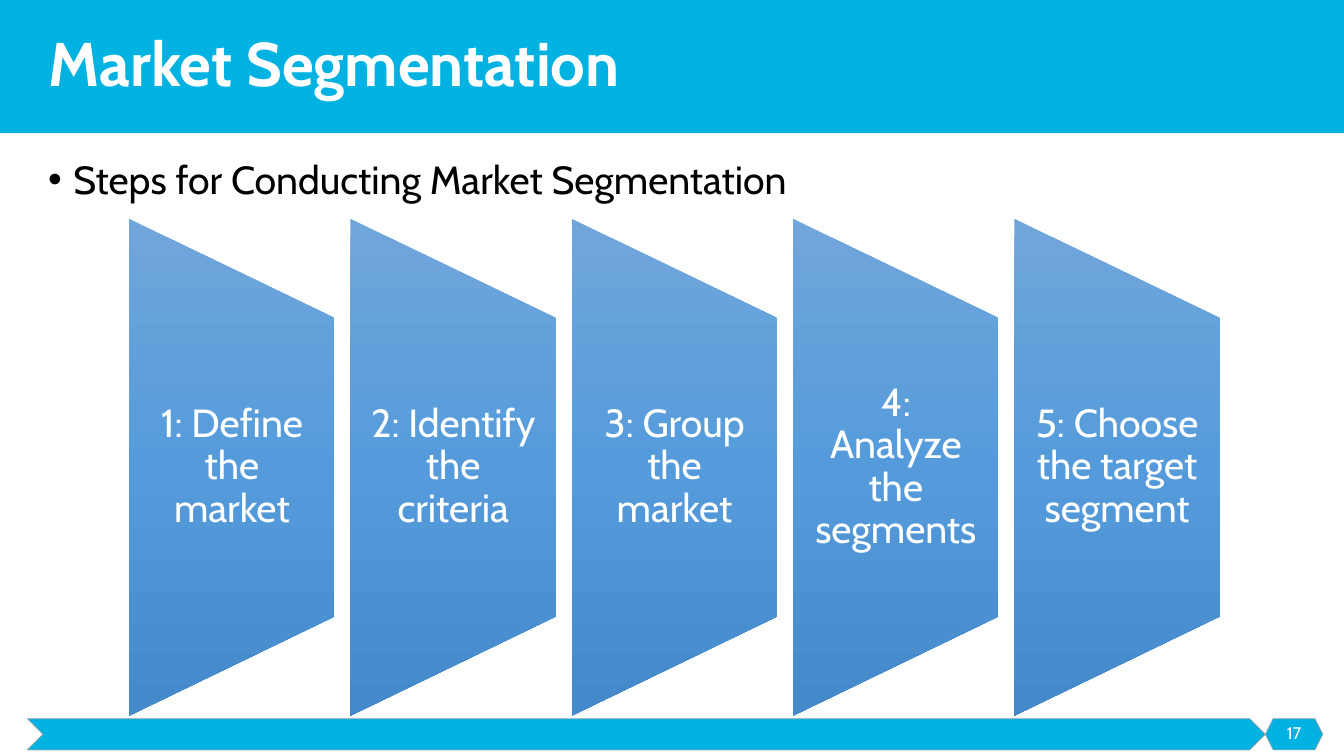
from lxml import etree
from pptx import Presentation
from pptx.dml.color import RGBColor
from pptx.enum.shapes import MSO_SHAPE
from pptx.enum.text import MSO_ANCHOR, MSO_AUTO_SIZE, PP_ALIGN
from pptx.oxml import parse_xml
from pptx.oxml.ns import nsdecls, qn
from pptx.util import Inches, Pt

FONT = "Cabin"
CYAN = RGBColor(0x00, 0xB2, 0xE2)
GRAY = RGBColor(0xA5, 0xA5, 0xA5)
WHITE = RGBColor(0xFF, 0xFF, 0xFF)
BLACK = RGBColor(0x00, 0x00, 0x00)
SHADES = (
    (0, RGBColor(0x71, 0xA6, 0xDB)),
    (50, RGBColor(0x55, 0x9B, 0xDB)),
    (100, RGBColor(0x44, 0x8A, 0xCA)),
)
RECT, CHEVRON, HEXAGON = MSO_SHAPE.RECTANGLE, MSO_SHAPE.CHEVRON, MSO_SHAPE.HEXAGON
PANEL = MSO_SHAPE.FLOWCHART_MANUAL_OPERATION
LEFT, CENTER = PP_ALIGN.LEFT, PP_ALIGN.CENTER
TOP, MIDDLE = MSO_ANCHOR.TOP, MSO_ANCHOR.MIDDLE
NO_FIT = MSO_AUTO_SIZE.NONE

STEPS = (
    "1: Define the market",
    "2: Identify the criteria",
    "3: Group the market",
    "4: Analyze the segments",
    "5: Choose the target segment",
)


def write(shape, text, size=28, color=WHITE, bold=False, align=CENTER,
          anchor=MIDDLE, inset=(0.1, 0.05), bullet=False, wrap=True):
    frame = shape.text_frame
    frame.word_wrap = wrap
    frame.auto_size = NO_FIT
    frame.vertical_anchor = anchor
    frame.margin_left = frame.margin_right = Inches(inset[0])
    frame.margin_top = frame.margin_bottom = Inches(inset[1])
    para = frame.paragraphs[0]
    para.text = text
    para.alignment = align
    para.line_spacing = 0.9
    if bullet:
        props = para._p.get_or_add_pPr()
        props.set("marL", str(Inches(0.25)))
        props.set("indent", str(-Inches(0.25)))
        etree.SubElement(props, qn("a:buFont")).set("typeface", "Arial")
        etree.SubElement(props, qn("a:buChar")).set("char", "•")
    font = para.runs[0].font
    font.name, font.size, font.bold = FONT, Pt(size), bold
    font.color.rgb = color


def add_solid(slide, kind, box, line=None):
    shape = slide.shapes.add_shape(kind, *map(Inches, box))
    shape.shadow.inherit = False
    shape.fill.solid()
    shape.fill.fore_color.rgb = CYAN
    if line is None:
        shape.line.fill.background()
    else:
        shape.line.color.rgb = line
        shape.line.width = Pt(0.5)
    return shape


def add_text(slide, box, text, **style):
    write(slide.shapes.add_textbox(*map(Inches, box)), text, **style)


def add_header(slide, box, text):
    """Place the banner behind the title placeholder."""
    left, top, width, height = box
    banner = add_solid(slide, RECT, box)
    title = slide.shapes.title
    title._element.addprevious(banner._element)
    title.left, title.top = Inches(left + 0.38), Inches(top)
    title.width, title.height = Inches(width - 0.59), Inches(height)
    write(title, text, size=44, bold=True, align=LEFT)


def add_footer(slide, box, number):
    left, top, width, height = box
    tag = 0.57
    add_solid(slide, CHEVRON, (left, top, width - tag, height), GRAY)
    badge = add_solid(slide, HEXAGON, (left + width - tag, top, tag, height), GRAY)
    write(badge, number, size=12, inset=(0, 0), wrap=False)


def shade(shape):
    """Fill from top to bottom, whatever the rotation of the shape."""
    stops = "".join(
        f'<a:gs pos="{pos * 1000}"><a:srgbClr val="{color}"/></a:gs>'
        for pos, color in SHADES)
    fill = parse_xml(
        f'<a:gradFill {nsdecls("a")} rotWithShape="0"><a:gsLst>{stops}</a:gsLst>'
        '<a:lin ang="5400000" scaled="0"/></a:gradFill>')
    shape._element.spPr.find(qn("a:prstGeom")).addnext(fill)


def add_step(slide, box, text):
    left, top, width, height = box
    shift = (height - width) / 2
    turned = (left - shift, top + shift, height, width)
    panel = slide.shapes.add_shape(PANEL, *map(Inches, turned))
    panel.rotation = 270
    panel.shadow.inherit = False
    panel.line.fill.background()
    shade(panel)
    label = (left, top + height / 5, width, height * 3 / 5)
    add_text(slide, label, text, inset=(0.19, 0))


def add_steps(slide, box, names):
    left, top, width, height = box
    wide = 2.04
    pitch = (width - wide) / (len(names) - 1)
    for index, name in enumerate(names):
        add_step(slide, (left + index * pitch, top, wide, height), name)


def main():
    deck = Presentation()
    deck.slide_width, deck.slide_height = Inches(13.33), Inches(7.5)
    slide = deck.slides.add_slide(deck.slide_layouts[5])
    add_header(slide, (0, 0, 13.33, 1.32), "Market Segmentation")
    add_footer(slide, (0.27, 7.13, 12.85, 0.31), "17")
    add_text(slide, (0.38, 1.54, 12.74, 0.6),
             "Steps for Conducting Market Segmentation",
             color=BLACK, align=LEFT, anchor=TOP, bullet=True)
    add_steps(slide, (1.28, 2.17, 10.82, 4.93), STEPS)
    deck.save("out.pptx")


if __name__ == "__main__":
    main()
